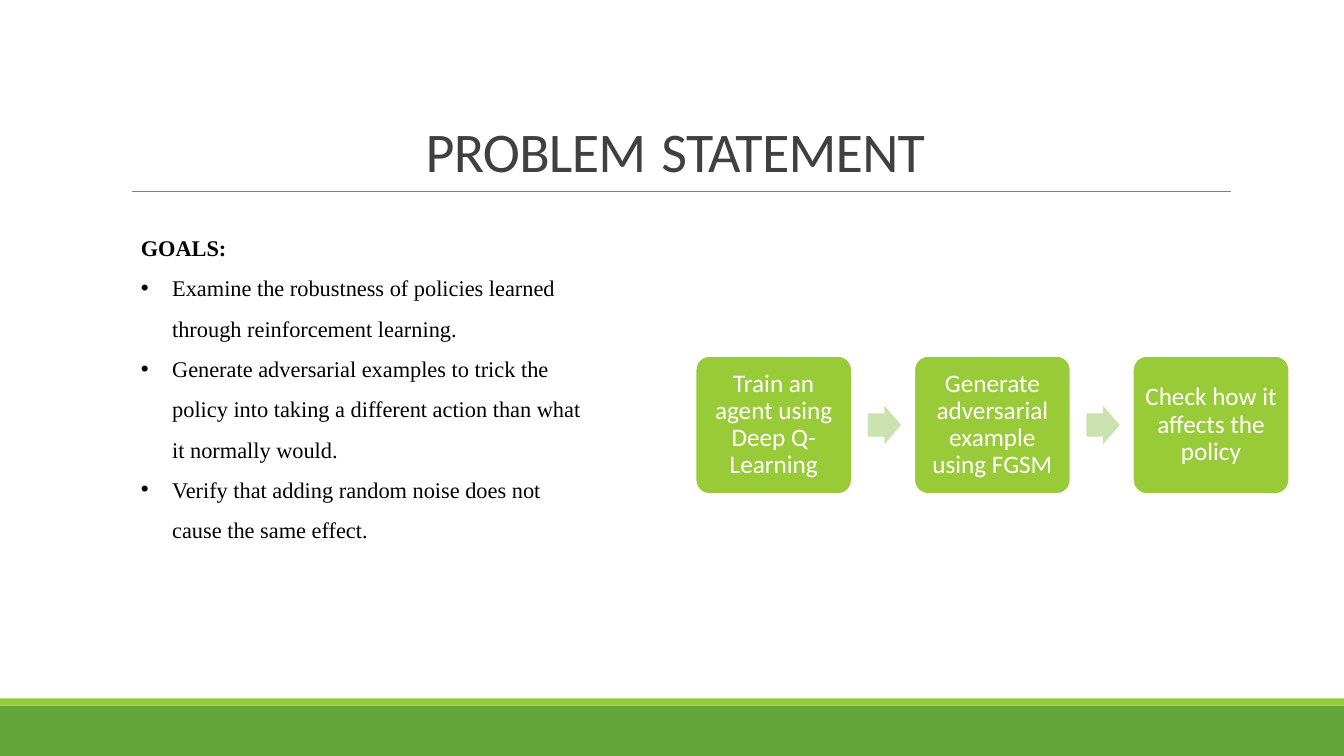
import lxml.etree
import pptx
import pptx.dml.color
import pptx.enum.shapes
import pptx.enum.text
import pptx.oxml.ns
import pptx.util

Cm = pptx.util.Cm
SHAPES = pptx.enum.shapes.MSO_SHAPE
ALIGN = pptx.enum.text.PP_ALIGN
ANCHOR = pptx.enum.text.MSO_ANCHOR

GOALS = [
    "Examine the robustness of policies learned through reinforcement learning.",
    "Generate adversarial examples to trick the policy into taking a different action than what it normally would.",
    "Verify that adding random noise does not cause the same effect.",
]
STEPS = [
    "Train an agent using Deep Q-Learning",
    "Generate adversarial example using FGSM",
    "Check how it affects the policy",
]


def color(value):
    return pptx.dml.color.RGBColor.from_string(value)


def add_run(paragraph, text, size=18, font="Calibri", fill="FFFFFF", bold=False, tracking=0):
    run = paragraph.add_run()
    run.text = text
    run.font.size = pptx.util.Pt(size)
    run.font.name = font
    run.font.bold = bold
    run.font.color.rgb = color(fill)
    if tracking:
        run._r.get_or_add_rPr().set("spc", str(tracking))


def add_bullet(paragraph, indent):
    properties = paragraph._p.get_or_add_pPr()
    properties.set("marL", str(indent))
    properties.set("indent", str(-indent))
    font = lxml.etree.SubElement(properties, pptx.oxml.ns.qn("a:buFont"))
    font.set("typeface", "Arial")
    bullet = lxml.etree.SubElement(properties, pptx.oxml.ns.qn("a:buChar"))
    bullet.set("char", "•")


def add_block(slide, preset, left, top, width, height, fill, line=None):
    shape = slide.shapes.add_shape(preset, Cm(left), Cm(top), Cm(width), Cm(height))
    shape.shadow.inherit = False
    shape.fill.solid()
    shape.fill.fore_color.rgb = color(fill)
    if line:
        shape.line.color.rgb = color(line)
        shape.line.width = pptx.util.Pt(1.25)
    else:
        shape.line.fill.background()
    return shape


def add_text_box(slide, left, top, width, height, anchor):
    box = slide.shapes.add_textbox(Cm(left), Cm(top), Cm(width), Cm(height))
    box.text_frame.word_wrap = True
    box.text_frame.vertical_anchor = anchor
    return box.text_frame


def add_footer(slide, left, top, width, height):
    stripe = 0.18
    add_block(slide, SHAPES.RECTANGLE, left, top + stripe, width, height - stripe, "63A537")
    add_block(slide, SHAPES.RECTANGLE, left, top, width, stripe, "99CB38")


def add_title(slide, left, top, width, height):
    bottom = top + height
    rule = slide.shapes.add_connector(
        pptx.enum.shapes.MSO_CONNECTOR.STRAIGHT,
        Cm(left + 0.28), Cm(bottom), Cm(left + width + 0.02), Cm(bottom))
    rule.line.color.rgb = color("808080")
    rule.line.width = pptx.util.Pt(0.5)
    lxml.etree.SubElement(rule._element.spPr, pptx.oxml.ns.qn("a:effectLst"))
    paragraph = add_text_box(slide, left, top, width, height, ANCHOR.BOTTOM).paragraphs[0]
    paragraph.alignment = ALIGN.CENTER
    paragraph.line_spacing = 0.85
    for text, size in [("PROBLEM", 40), (" ", 48), ("STATEMENT", 40)]:
        add_run(paragraph, text, size=size, fill="404040", tracking=-50)


def add_goals(slide, left, top, width, height):
    frame = add_text_box(slide, left, top, width, height, ANCHOR.TOP)
    for index, text in enumerate(["GOALS:"] + GOALS):
        paragraph = frame.add_paragraph() if index else frame.paragraphs[0]
        paragraph.line_spacing = 1.5
        if index:
            add_bullet(paragraph, Cm(0.79))
        add_run(paragraph, text, size=16, font="Times New Roman", fill="000000", bold=index == 0)


def add_process(slide, left, top, width, height):
    step_width = 3.94
    pitch = (width - step_width) / (len(STEPS) - 1)
    arrow_width, arrow_height = 0.84, 0.97
    for index, text in enumerate(STEPS):
        step_left = left + index * pitch
        if index:
            arrow = add_block(
                slide, SHAPES.RIGHT_ARROW, step_left - 1.17, top + (height - arrow_height) / 2,
                arrow_width, arrow_height, "CAE2AF")
            arrow.adjustments[0] = 0.6
            arrow.adjustments[1] = 0.5
        step = add_block(
            slide, SHAPES.ROUNDED_RECTANGLE, step_left, top, step_width, height, "99CB38", "FFFFFF")
        step.adjustments[0] = 0.1
        frame = step.text_frame
        frame.word_wrap = True
        frame.vertical_anchor = ANCHOR.MIDDLE
        frame.margin_left = frame.margin_right = Cm(0.18)
        frame.margin_top = frame.margin_bottom = Cm(0.18)
        paragraph = frame.paragraphs[0]
        paragraph.alignment = ALIGN.CENTER
        paragraph.line_spacing = 0.9
        add_run(paragraph, text)


def main():
    presentation = pptx.Presentation()
    presentation.slide_width = Cm(33.87)
    presentation.slide_height = Cm(19.05)
    slide = presentation.slides.add_slide(presentation.slide_layouts[6])
    add_footer(slide, 0, 17.6, 33.87, 1.45)
    add_title(slide, 3.05, 0.79, 27.94, 4.04)
    add_goals(slide, 3.3, 5.44, 11.76, 8.46)
    add_process(slide, 17.53, 8.97, 14.96, 3.48)
    presentation.save("out.pptx")


if __name__ == "__main__":
    main()
